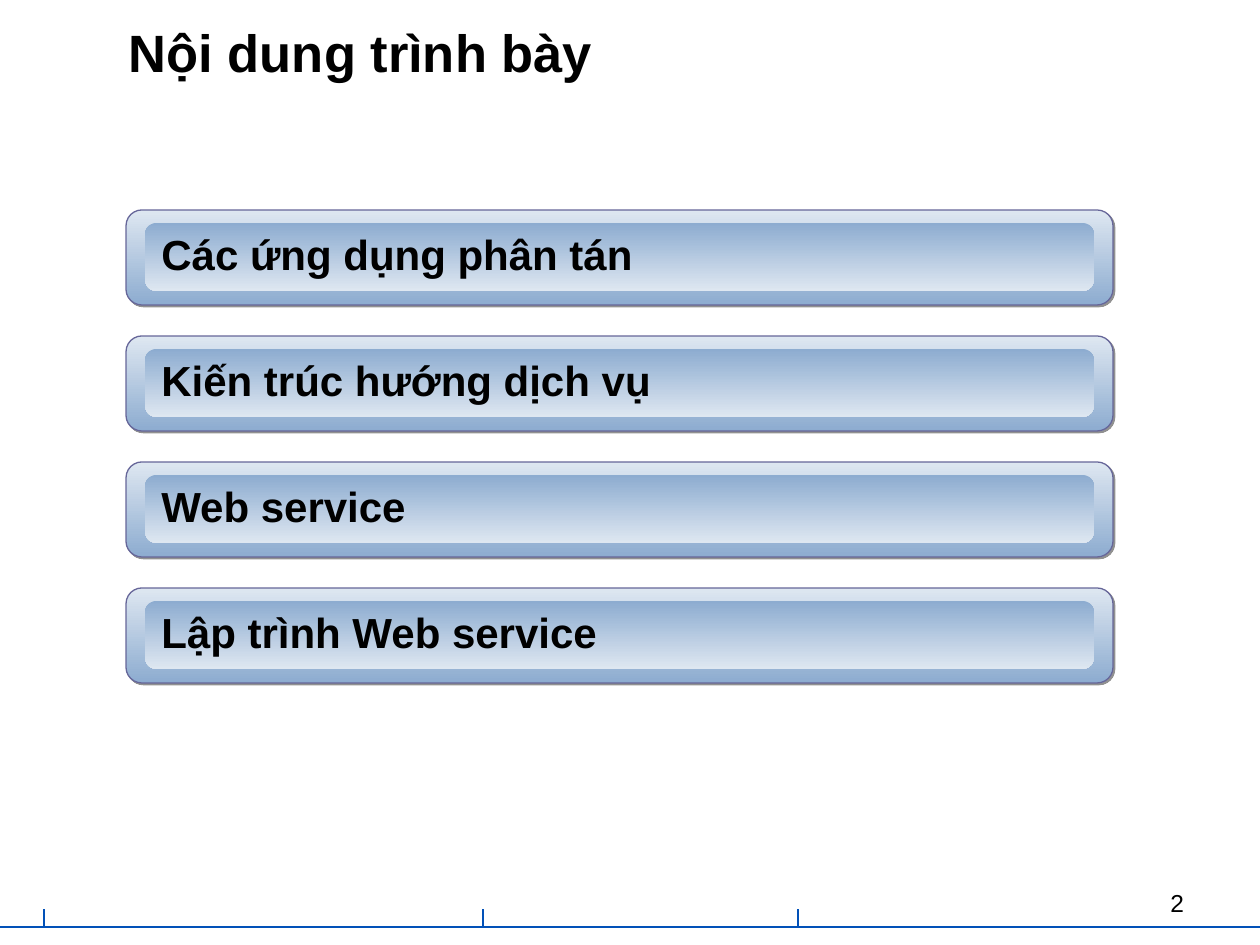
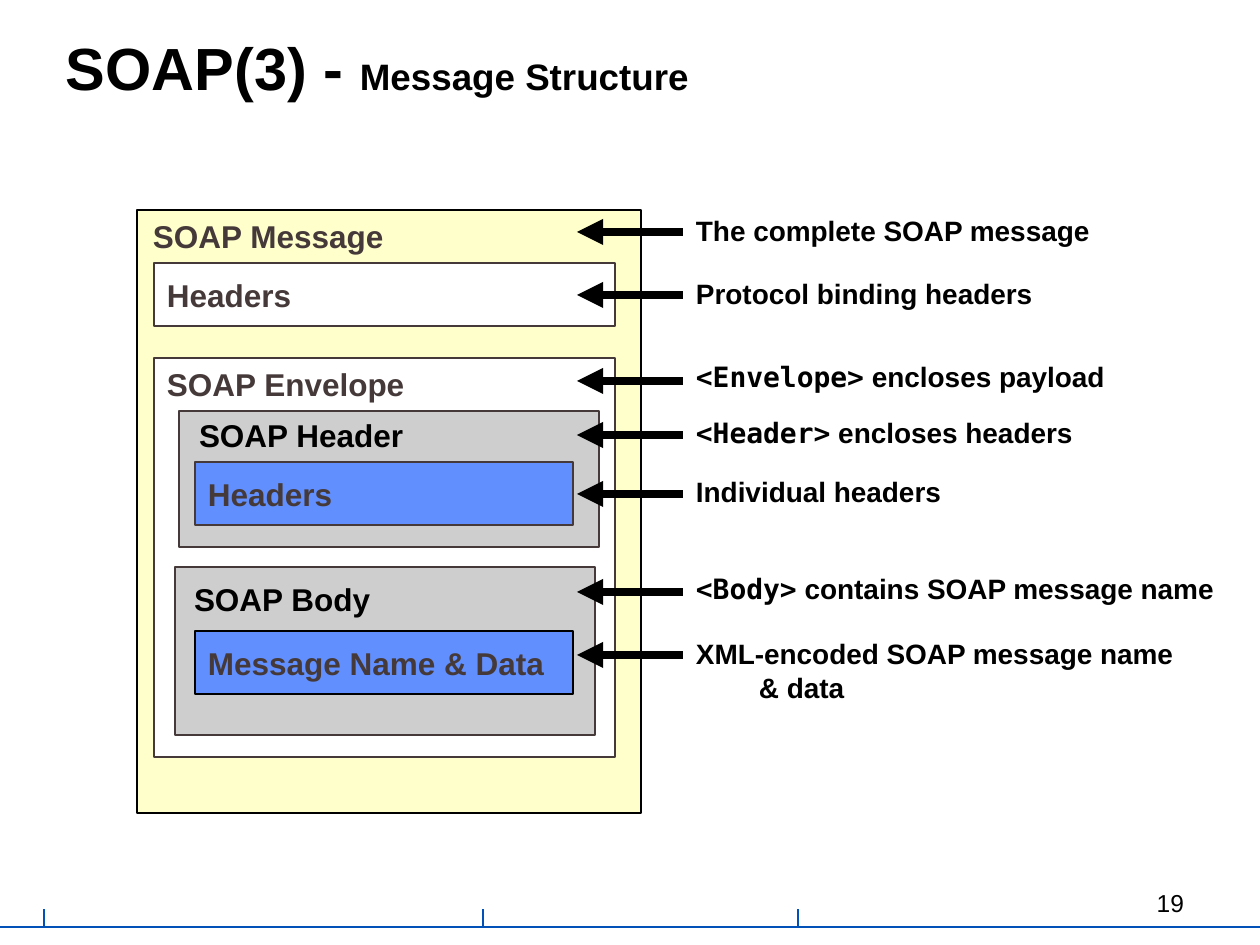
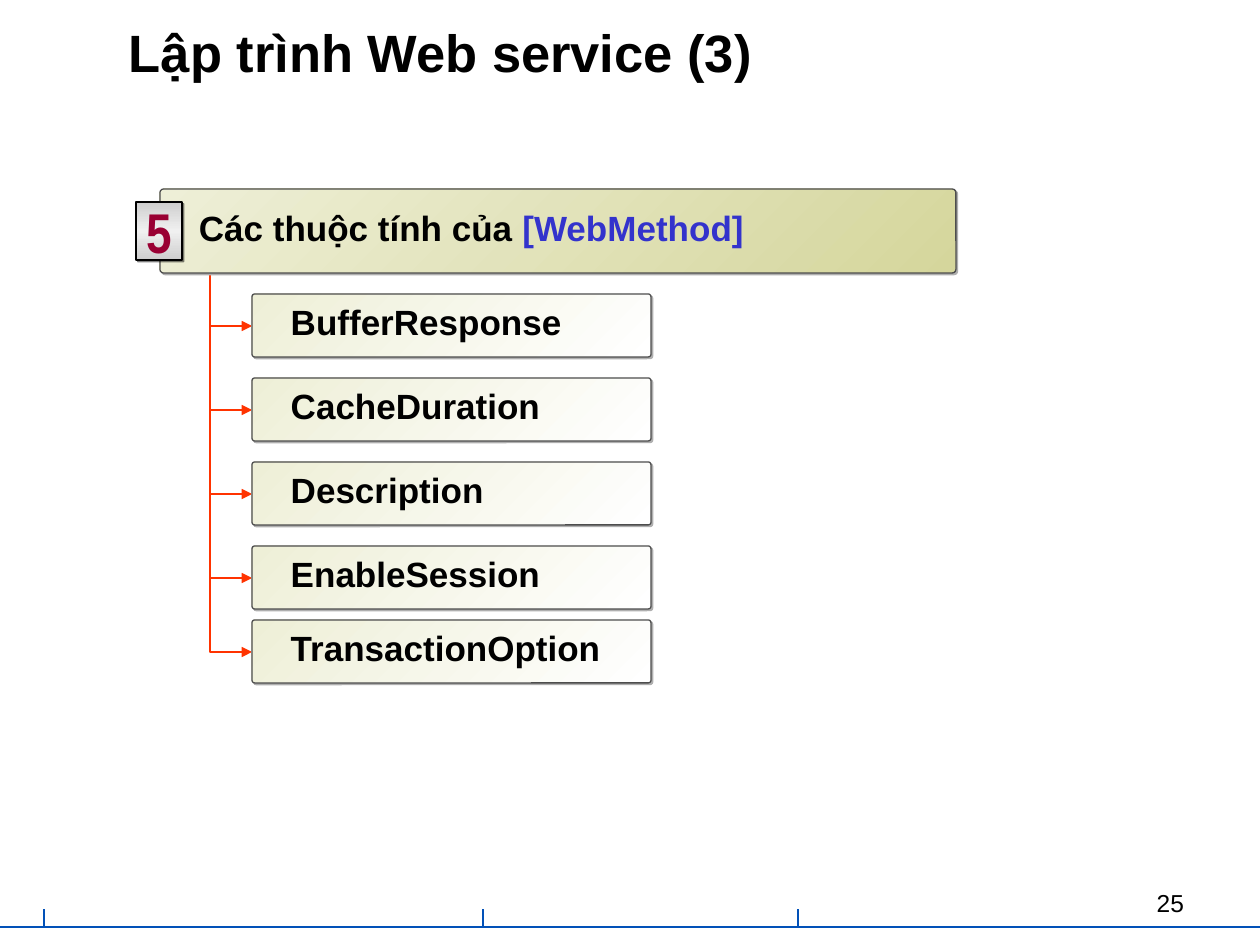
from dataclasses import dataclass

from lxml.etree import SubElement as Sub
from pptx import Presentation
from pptx.dml.color import RGBColor as RGB
from pptx.enum.shapes import MSO_CONNECTOR as LINK, MSO_SHAPE as SHAPE
from pptx.enum.text import MSO_ANCHOR as ANCHOR, MSO_AUTO_SIZE as AUTO, PP_ALIGN as ALIGN
from pptx.oxml.ns import qn
from pptx.util import Emu, Pt

SCALE = 914400 / 126  # EMU in one px


@dataclass(frozen=True)
class Theme:
    font: str = "Arial"
    narrow: str = "Arial Narrow"
    mono: str = "DejaVu Sans Mono"
    black: str = "000000"
    white: str = "FFFFFF"
    rule: str = "0251B8"
    brown: str = "453939"
    cream: str = "FFFF99"
    grey: str = "CECECE"
    shine: str = "F0F0F0"
    azure: str = "618FFD"
    pale: str = "DEE7F1"
    steel: str = "8DACD0"
    violet: str = "666699"
    olive: str = "D5D69C"
    sand: str = "EEEFD7"
    edge: str = "4D4D4D"
    branch: str = "FF3300"
    code: str = "3333CC"
    digit: str = "990033"
    shade: str = "919191"
    mist: str = "AFAFAF"
    title: int = 30
    big: int = 34
    small: int = 21
    bar: int = 24
    node: int = 20
    panel: int = 18
    note: int = 16
    page: int = 14
    badge: int = 32


T = Theme()


def px(*nums):
    return [Emu(round(n * SCALE)) for n in nums]


def put(obj, **vals):
    for name, val in vals.items():
        setattr(obj, name, val)


# ---- Shared drawing helpers ----

def write(frame, runs, size, color=T.black, font=T.font, bold=True,
          align=ALIGN.LEFT, anchor=ANCHOR.MIDDLE, wrap=True, space=None, inset=13):
    """Fill a text frame with runs: a string, or (text, format changes) pairs."""
    left, side, edge = px(inset, 13, 6)
    put(frame, auto_size=AUTO.NONE, word_wrap=wrap, vertical_anchor=anchor,
        margin_left=left, margin_right=side, margin_top=edge, margin_bottom=edge)
    para = frame.paragraphs[0]
    put(para, alignment=align, line_spacing=space)
    for text, change in [(runs, {})] if isinstance(runs, str) else runs:
        look = {"size": size, "color": color, "name": font, "bold": bold, **change}
        for i, line in enumerate(text.split("\n")):
            if i:
                para.add_line_break()
            run = para.add_run()
            run.text = line
            run.font.color.rgb = RGB.from_string(look["color"])
            put(run.font, size=Pt(look["size"]), name=look["name"], bold=look["bold"])


def label(slide, box, runs, size, **look):
    write(slide.shapes.add_textbox(*px(*box)).text_frame, runs, size, **look)


def paint(fill, colors, angle):
    """Solid fill for one colour, evenly spread gradient for more."""
    if isinstance(colors, str):
        fill.solid()
        fill.fore_color.rgb = RGB.from_string(colors)
        return
    fill.gradient()
    fill.gradient_angle = 360 - angle


def block(slide, box, fill, line=None, kind=SHAPE.RECTANGLE, round_by=None,
          angle=90, alpha=None, shadow=None):
    shape = slide.shapes.add_shape(kind, *px(*box))
    if round_by is not None:
        shape.adjustments[0] = round_by
    paint(shape.fill, fill, angle)
    props = shape.element.spPr
    stops = props.find(".//" + qn("a:gsLst"))
    if stops is not None:
        stops.clear()
        for i, color in enumerate(fill):
            stop = Sub(stops, qn("a:gs"), pos=str(100000 * i // (len(fill) - 1)))
            Sub(stop, qn("a:srgbClr"), val=color)
    if alpha:
        Sub(props.find(".//" + qn("a:srgbClr")), qn("a:alpha"), val=str(alpha * 1000))
    if line:
        shape.line.color.rgb = RGB.from_string(line)
        shape.line.width = Pt(0.75)
    else:
        shape.line.fill.background()
    shape.shadow.inherit = False
    if shadow:
        color, solid = shadow
        cast = Sub(props.find(qn("a:effectLst")), qn("a:outerShdw"),
                   dist=str(Pt(1.4)), dir="2700000", algn="ctr", rotWithShape="0")
        tint = Sub(cast, qn("a:srgbClr"), val=color)
        Sub(tint, qn("a:alpha"), val=str(solid * 1000))
    return shape


def link(slide, ends, color, width, arrow=False, kind=LINK.STRAIGHT):
    line = slide.shapes.add_connector(kind, *px(*ends))
    line.line.color.rgb = RGB.from_string(color)
    line.line.width = Pt(width)
    props = line.element.spPr
    if arrow:
        Sub(props.find(qn("a:ln")), qn("a:tailEnd"), type="triangle")
    Sub(props, qn("a:effectLst"))
    return line


def bend(slide, x, y, wide, tall):
    """Arrow that runs down from (x, y), then right."""
    mid_x, mid_y = x + wide / 2, y + tall / 2
    ends = (mid_x + tall / 2, mid_y - wide / 2, mid_x - tall / 2, mid_y + wide / 2)
    line = link(slide, ends, T.branch, 1, True, LINK.ELBOW)
    props = line.element.spPr
    props.find(qn("a:xfrm")).set("rot", "16200000")
    props.find(qn("a:prstGeom")).set("prst", "bentConnector2")


# ---- Frame of every slide ----

def rules(slide, layout):
    """Draw the bottom rule with its ticks and hand them to the layout."""
    base = 927
    lines = [(1260, base, 0, base)] + [(x, base, x, base - 18) for x in (44, 483, 798)]
    for ends in lines:
        layout.shapes.element.append(link(slide, ends, T.rule, 0.75).element)


def start(deck, title, page, box=(116, 10, 1018, 95), size=T.title):
    slide = deck.slides.add_slide(deck.slide_layouts[5])
    head = slide.shapes.title
    put(head, **dict(zip(("left", "top", "width", "height"), px(*box))))
    write(head.text_frame, title, size, space=0.8)
    label(slide, (903, 882, 294, 43), page, T.page, bold=False,
          align=ALIGN.RIGHT, anchor=ANCHOR.TOP)
    return slide


# ---- Agenda bars ----

def agenda(slide, box, items, pitch=126):
    left, top, wide, tall = box
    for i, item in enumerate(items):
        y = top + i * pitch
        look = {"kind": SHAPE.ROUNDED_RECTANGLE, "round_by": 0.167}
        block(slide, (left, y, wide, tall), (T.pale, T.steel), T.violet,
              shadow=(T.shade, 100), **look)
        inner = block(slide, (left + 19, y + 13, wide - 38, tall - 27),
                      (T.steel, T.pale), **look)
        write(inner.text_frame, item, T.bar, space=0.9)


# ---- SOAP message: nested panels and their notes ----

def message(slide, box):
    left, top, wide, tall = box
    # box, fill, line, name, name colour, offset of the name (None: inside)
    panels = [
        ((0, 0, wide, tall), T.cream, T.black, "SOAP Message", T.brown, (3, -6)),
        ((17, 148, 461, 399), T.white, T.brown, "SOAP Envelope", T.brown, (0, -6)),
        ((42, 201, 420, 136), T.grey, T.brown, "SOAP Header", T.black, (7, -8)),
        ((38, 357, 420, 168), T.grey, T.brown, "SOAP Body", T.black, (6, 0)),
        ((58, 421, 378, 63), T.azure, T.black, "Message Name & Data", T.brown, None),
        ((58, 252, 378, 63), T.azure, T.brown, "Headers", T.brown, None),
        ((17, 53, 461, 63), T.white, T.brown, "Headers", T.brown, None),
    ]
    for (dx, dy, w, h), fill, line, name, color, shift in panels:
        x, y = left + dx, top + dy
        panel = block(slide, (x, y, w, h), fill, line,
                      alpha=50 if fill == T.cream else None)
        look = {"color": color, "wrap": False}
        if shift:
            label(slide, (x + shift[0], y + shift[1], 335, 63), name, T.panel, **look)
        else:
            write(panel.text_frame, name, T.panel, **look)


def notes(slide, box):
    left, top, wide, tall = box
    code = {"name": T.mono}
    # top of the note, height of its arrow, text
    rows = [
        (0, 33, "The complete SOAP message"),
        (63, 96, "Protocol binding headers"),
        (146, 182, [("<Envelope>", code), (" encloses payload", {})]),
        (202, 236, [("<Header>", code), (" encloses headers", {})]),
        (261, 295, "Individual headers"),
        (358, 393, [("<Body>", code), (" contains SOAP message name", {})]),
        (440, 456, "XML-encoded SOAP message name\n\t& data"),
    ]
    stem = 106
    for dy, arrow, text in rows:
        label(slide, (left + stem, top + dy, wide - stem, tall), text, T.note, wrap=False)
        y = top + arrow
        link(slide, (left + stem, y, left, y), T.black, 5, True)


# ---- Attribute tree ----

def tree(slide, box, number, head, items):
    left, top, wide, tall = box
    look = {"kind": SHAPE.ROUNDED_RECTANGLE, "round_by": 0.042, "angle": 225,
            "shadow": (T.mist, 100)}
    text = {"space": 0.8, "inset": 38}
    # Branches
    for name, dy in items:
        x, y = left + 92, top + dy
        bend(slide, x - 42, y - 63, 42, 95)
        node = block(slide, (x, y, 399, 63), (T.white, T.sand), T.edge, **look)
        write(node.text_frame, name, T.node, **text)
    # Head bar and its number
    bar = block(slide, box, (T.olive, T.sand), T.edge, **look)
    write(bar.text_frame, head, T.node, **text)
    badge = block(slide, (left - 24, top + 13, 46, 58), (T.grey, T.shine, T.grey),
                  T.black, shadow=(T.black, 50))
    write(badge.text_frame, number, T.badge, color=T.digit, font=T.narrow,
          align=ALIGN.CENTER, wrap=False)


def main():
    deck = Presentation()
    deck.slide_width, deck.slide_height = px(1260, 945)

    slide = start(deck, "Nội dung trình bày", "2")
    rules(slide, deck.slide_layouts[5])
    agenda(slide, (126, 210, 987, 95),
           ["Các ứng dụng phân tán", "Kiến trúc hướng dịch vụ",
            "Web service", "Lập trình Web service"])

    title = [("SOAP(3) - ", {}), ("Message Structure", {"size": T.small})]
    slide = start(deck, title, "19", (53, 21, 1144, 105), T.big)
    message(slide, (137, 210, 504, 603))
    notes(slide, (577, 199, 441, 63))

    slide = start(deck, "Lập trình Web service (3)", "25")
    head = [("Các thuộc tính của ", {}), ("[WebMethod]", {"color": T.code})]
    names = ["BufferResponse", "CacheDuration", "Description", "EnableSession"]
    items = [(name, 105 + 84 * i) for i, name in enumerate(names)]
    tree(slide, (160, 189, 796, 84), "5", head, items + [("TransactionOption", 431)])

    deck.save("out.pptx")


if __name__ == "__main__":
    main()
